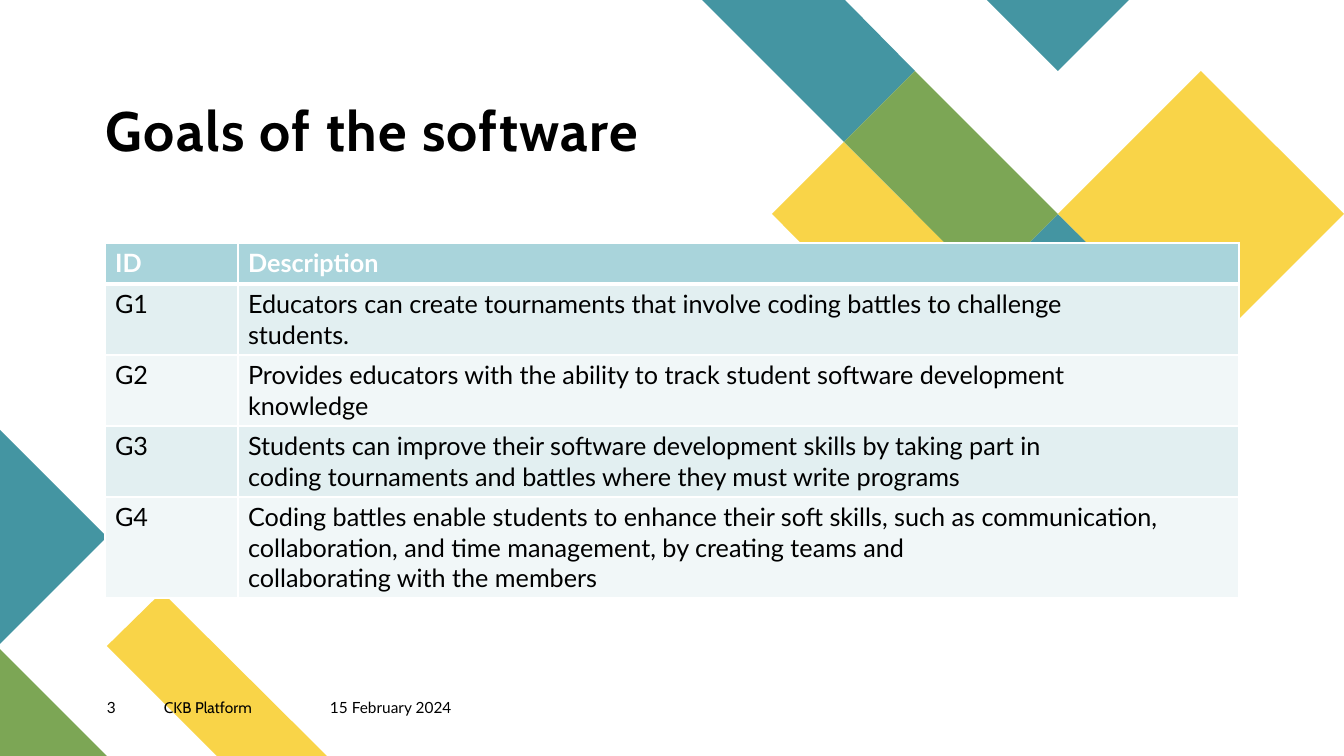
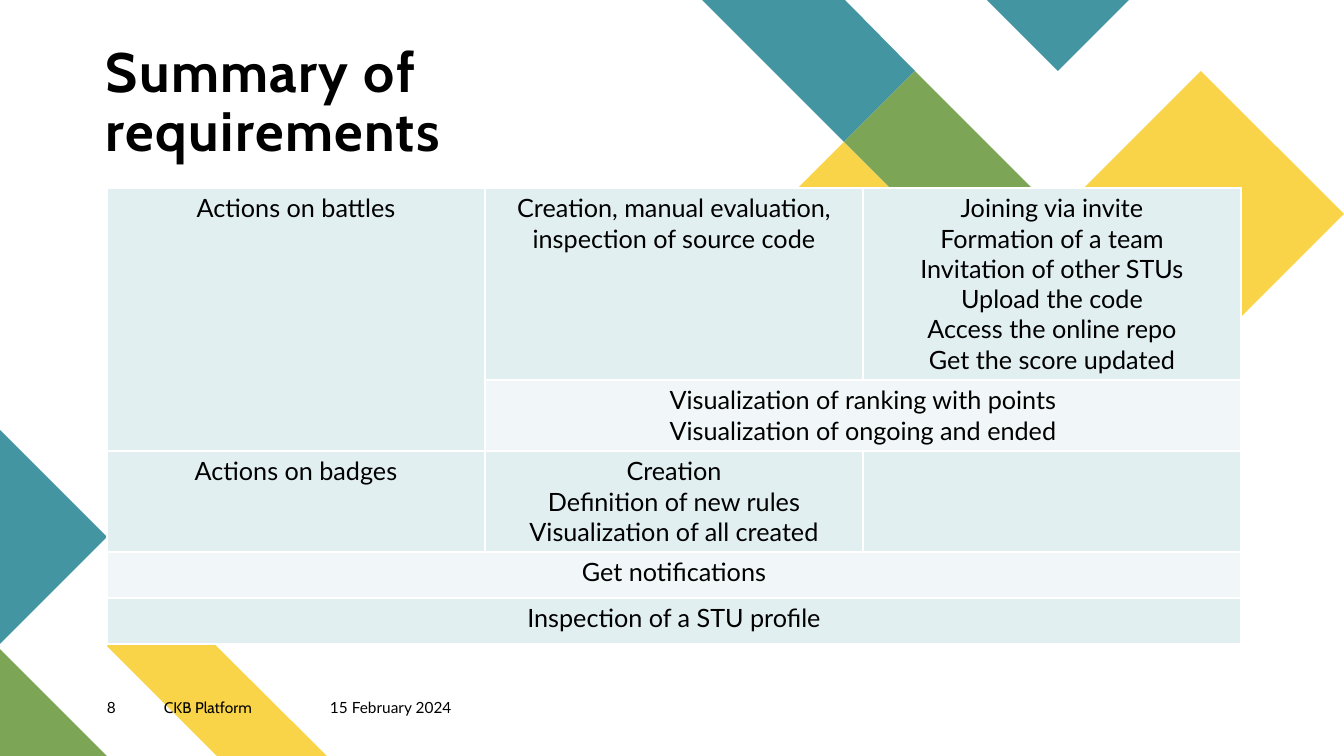
from pptx import Presentation
from pptx.dml.color import RGBColor
from pptx.enum.text import MSO_ANCHOR, PP_ALIGN
from pptx.util import Pt
from lxml.etree import SubElement
from pptx.oxml.ns import qn

PX = 914400 / 100.8
TEAL = RGBColor(0x44, 0x95, 0xA2)
GOLD = RGBColor(0xF9, 0xD4, 0x48)
GREEN = RGBColor(0x7C, 0xA6, 0x55)
BLACK = RGBColor(0, 0, 0)
WHITE = RGBColor(255, 255, 255)
HEAD = RGBColor(0xA9, 0xD4, 0xDB)
BANDS = [RGBColor(0xE2, 0xEF, 0xF1), RGBColor(0xF1, 0xF7, 0xF8)]

TILES = [
    (TEAL, [(915, 71), (845, 0), (702, 0), (844, 142)]),
    (TEAL, [(1130, 285), (1058, 214), (987, 285), (1058, 357)]),
    (GOLD, [(844, 142), (772, 214), (915, 357), (987, 285)]),
    (TEAL, [(1129, 0), (987, 0), (1058, 71)]),
    (GREEN, [(915, 71), (844, 142), (987, 285), (1058, 214)]),
    (GOLD, [(1344, 214), (1201, 71), (1058, 214), (1201, 357)]),
    (GOLD, [(327, 756), (217, 756), (107, 646), (162, 592)]),
    (GREEN, [(107, 756), (0, 756), (0, 649)]),
    (TEAL, [(0, 430), (107, 537), (0, 644)]),
]

GOALS = [
    ["ID", "Description"],
    ["G1", "Educators can create tournaments that involve coding battles to challenge\n"
           "students."],
    ["G2", "Provides educators with the ability to track student software development\n"
           "knowledge"],
    ["G3", "Students can improve their software development skills by taking part in\n"
           "coding tournaments and battles where they must write programs"],
    ["G4", "Coding battles enable students to enhance their soft skills, such as communication,\n"
           "collaboration, and time management, by creating teams and\n"
           "collaborating with the members"],
]
NEEDS = [
    ["Actions on battles",
     "Creation, manual evaluation, inspection of source code",
     "Joining via invite\nFormation of a team\nInvitation of other STUs\n"
     "Upload the code\nAccess the online repo\nGet the score updated"],
    ["", "Visualization of ranking with points\nVisualization of ongoing and ended", ""],
    ["Actions on badges",
     "Creation\nDefinition of new rules\nVisualization of all created", ""],
    ["Get notifications", "", ""],
    ["Inspection of a STU profile", "", ""],
]
SPANS = [(0, 0, 1, 0), (1, 1, 1, 2), (3, 0, 3, 2), (4, 0, 4, 2)]

PAGES = [
    ("3", "Goals of the software", (105, 243), [133, 1001],
     [41, 71, 71, 71, 101], GOALS, [], 1, PP_ALIGN.LEFT),
    ("8", "Summary of requirements", (107, 188), [378] * 3,
     [192, 71, 101, 46, 46], NEEDS, SPANS, 0, PP_ALIGN.CENTER),
]


def write(para, text, size, face="Lato", color=BLACK, bold=False):
    run = para.add_run()
    run.text = text
    font = run.font
    font.size, font.name, font.bold = Pt(size), face, bold
    font.color.rgb = color
    return run


def label(slide, left, top, width, height):
    box = slide.shapes.add_textbox(*[round(n * PX) for n in (left, top, width, height)])
    frame = box.text_frame
    frame.word_wrap = True
    frame.margin_left = frame.margin_right = 0
    frame.margin_top = frame.margin_bottom = 0
    return frame


deck = Presentation()
deck.slide_width, deck.slide_height = round(1344 * PX), round(756 * PX)

for number, title, (left, top), cols, heights, texts, spans, heads, align in PAGES:
    slide = deck.slides.add_slide(deck.slide_layouts[6])

    for color, points in TILES:
        pen = slide.shapes.build_freeform(*points[0], scale=PX)
        pen.add_line_segments(points[1:], close=True)
        tile = pen.convert_to_shape()
        tile.shadow.inherit = False
        tile.fill.solid()
        tile.fill.fore_color.rgb = color
        tile.line.fill.background()

    frame = label(slide, 106, 97, 565, 67)
    frame.vertical_anchor = MSO_ANCHOR.BOTTOM
    para = frame.paragraphs[0]
    para.line_spacing = 0.9
    run = write(para, title, 39.6, "Cabin", bold=True)
    run.font._element.set("spc", "100")

    for text, start, width, face in [
        (number, 107, 57, "Lato"),
        ("CKB Platform", 164, 165, "Cabin"),
        ("15 February 2024", 330, 145, "Lato"),
    ]:
        frame = label(slide, start, 698, width, 27)
        write(frame.paragraphs[0], text, 11, face)

    grid = slide.shapes.add_table(
        len(heights), len(cols), round(left * PX), round(top * PX),
        round(sum(cols) * PX), round(sum(heights) * PX)).table
    grid.first_row = grid.horz_banding = False
    for col, width in zip(grid.columns, cols):
        col.width = round(width * PX)

    for r, (height, line) in enumerate(zip(heights, texts)):
        grid.rows[r].height = round(height * PX)
        is_head = r < heads
        for c, text in enumerate(line):
            cell = grid.cell(r, c)
            props = cell._tc.get_or_add_tcPr()
            for side in "LRTB":
                thick = heads and (r, side) in [(0, "B"), (1, "T")]
                edge = SubElement(props, qn("a:ln" + side), w=str(Pt(3 if thick else 1)))
                fill = SubElement(edge, qn("a:solidFill"))
                SubElement(fill, qn("a:srgbClr"), val=str(WHITE))
            cell.fill.solid()
            cell.fill.fore_color.rgb = HEAD if is_head else BANDS[(r - heads) % 2]
            if not text:
                continue
            frame = cell.text_frame
            for i, part in enumerate(text.split("\n")):
                para = frame.add_paragraph() if i else frame.paragraphs[0]
                para.alignment = align
                write(para, part, 18, color=WHITE if is_head else BLACK, bold=is_head)

    for r, c, last, end in spans:
        grid.cell(r, c).merge(grid.cell(last, end))

deck.save("out.pptx")
